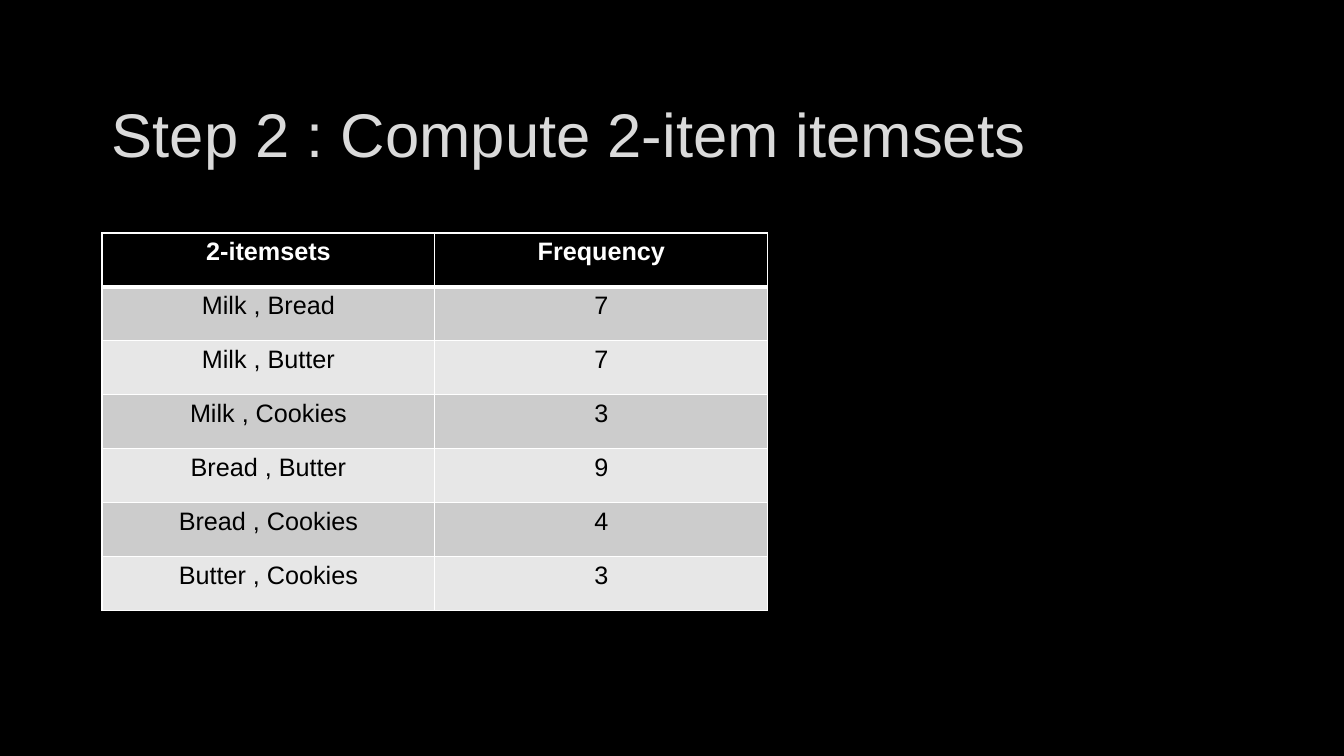
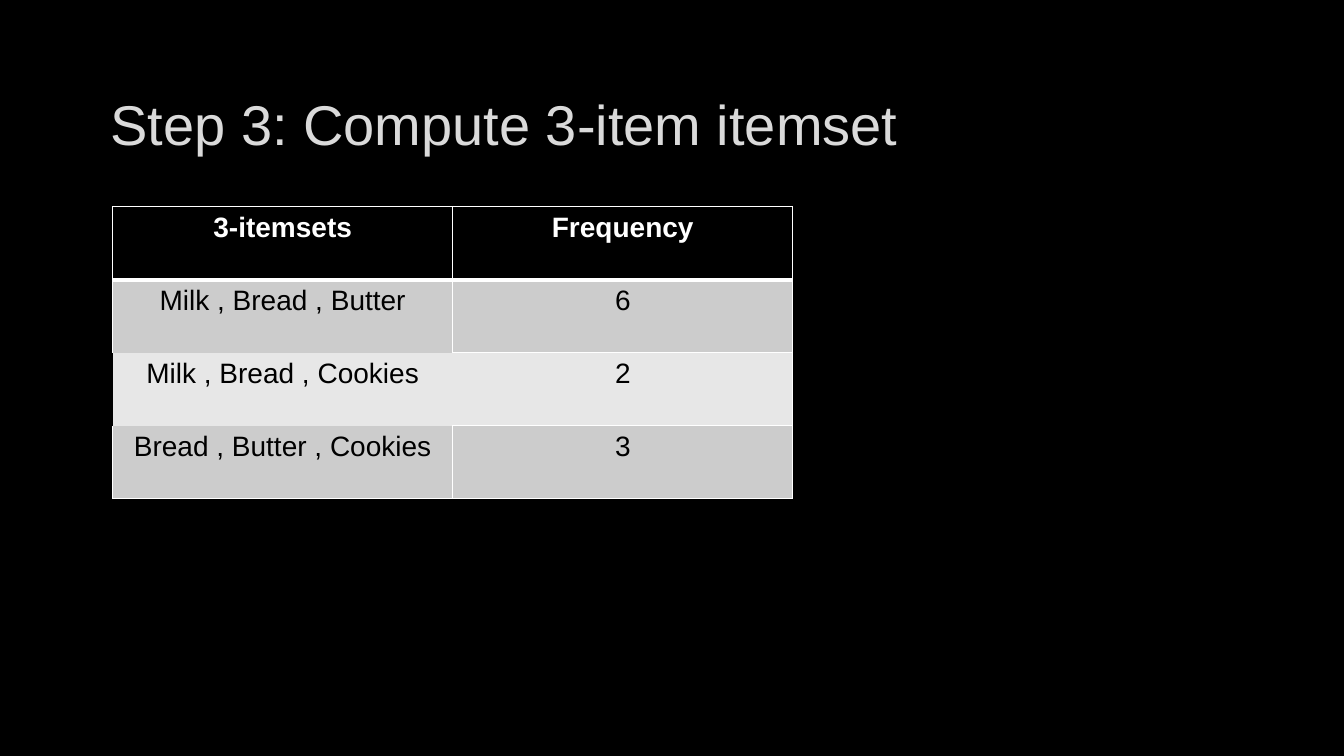
from lxml import etree
from pptx import Presentation
from pptx.dml.color import RGBColor
from pptx.enum import text
from pptx.oxml import ns
from pptx.util import Cm, Pt

FONT = "Arial"
BLACK, WHITE, TITLE_GREY = "000000", "FFFFFF", "DADADA"
BAND_FILLS = ["E7E7E7", "CCCCCC"]
TITLE_WIDTH = 28.75
# Row and column step from a cell to its neighbour on each side
SIDES = {"L": (0, -1), "R": (0, 1), "T": (-1, 0), "B": (1, 0)}

# Lengths in cm, text sizes in points; "bare" cells have no borders
SLIDES = [
    {
        "title": "Step 2 : Compute 2-item itemsets",
        "title_box": (2.57, 2.49, 3.38), "title_size": 44, "title_inset": 1.8,
        "table_at": (2.57, 5.87), "column": 8.39, "row": 1.36, "size": 18,
        "bare": [],
        "rows": [
            ("2-itemsets", "Frequency"),
            ("Milk , Bread", "7"),
            ("Milk , Butter", "7"),
            ("Milk , Cookies", "3"),
            ("Bread , Butter", "9"),
            ("Bread , Cookies", "4"),
            ("Butter , Cookies", "3"),
        ],
    },
    {
        "title": "Step 3: Compute 3-item itemset",
        "title_box": (2.54, 1.7, 2.69), "title_size": 40, "title_inset": 0,
        "table_at": (2.84, 5.21), "column": 8.57, "row": 1.84, "size": 20,
        "bare": [(2, 0)],
        "rows": [
            ("3-itemsets", "Frequency"),
            ("Milk , Bread , Butter", "6"),
            ("Milk , Bread , Cookies", "2"),
            ("Bread , Butter , Cookies", "3"),
        ],
    },
]


def add_run(paragraph, words, size, color, bold=False):
    run = paragraph.add_run()
    run.text = words
    run.font.name = FONT
    run.font.size = Pt(size)
    run.font.bold = bold
    run.font.color.rgb = RGBColor.from_string(color)


def set_border(cell, side, points):
    """Draw one white cell border, or none when points is 0."""
    properties = cell._tc.get_or_add_tcPr()
    line = etree.SubElement(properties, ns.qn("a:ln" + side), w=str(Pt(points)))
    if points:
        fill = etree.SubElement(line, ns.qn("a:solidFill"))
        etree.SubElement(fill, ns.qn("a:srgbClr"), val=WHITE)
    else:
        etree.SubElement(line, ns.qn("a:noFill"))


presentation = Presentation()
presentation.slide_width = Cm(33.87)
presentation.slide_height = Cm(19.05)

for content in SLIDES:
    slide = presentation.slides.add_slide(presentation.slide_layouts[6])
    slide.background.fill.solid()
    slide.background.fill.fore_color.rgb = RGBColor.from_string(BLACK)

    left, top, height = content["title_box"]
    title = slide.shapes.add_textbox(Cm(left), Cm(top), Cm(TITLE_WIDTH), Cm(height))
    frame = title.text_frame
    frame.word_wrap = True
    frame.vertical_anchor = text.MSO_ANCHOR.MIDDLE
    frame.margin_bottom = Cm(content["title_inset"])
    add_run(frame.paragraphs[0], content["title"], content["title_size"], TITLE_GREY)

    rows = content["rows"]
    left, top = content["table_at"]
    table = slide.shapes.add_table(
        len(rows), 2, Cm(left), Cm(top),
        Cm(2 * content["column"]), Cm(len(rows) * content["row"])).table
    for column in table.columns:
        column.width = Cm(content["column"])

    for r, values in enumerate(rows):
        table.rows[r].height = Cm(content["row"])
        header = r == 0
        for c, value in enumerate(values):
            cell = table.cell(r, c)
            # Borders go before the fill in the cell properties
            for side, (down, across) in SIDES.items():
                touching = [(r, c), (r + down, c + across)]
                if any(place in content["bare"] for place in touching):
                    points = 0
                elif (r, side) in [(0, "B"), (1, "T")]:
                    points = 3
                else:
                    points = 1
                set_border(cell, side, points)
            cell.fill.solid()
            cell.fill.fore_color.rgb = RGBColor.from_string(
                BLACK if header else BAND_FILLS[r % 2])
            paragraph = cell.text_frame.paragraphs[0]
            paragraph.alignment = text.PP_ALIGN.CENTER
            add_run(paragraph, value, content["size"],
                    WHITE if header else BLACK, bold=header)

presentation.save("out.pptx")
